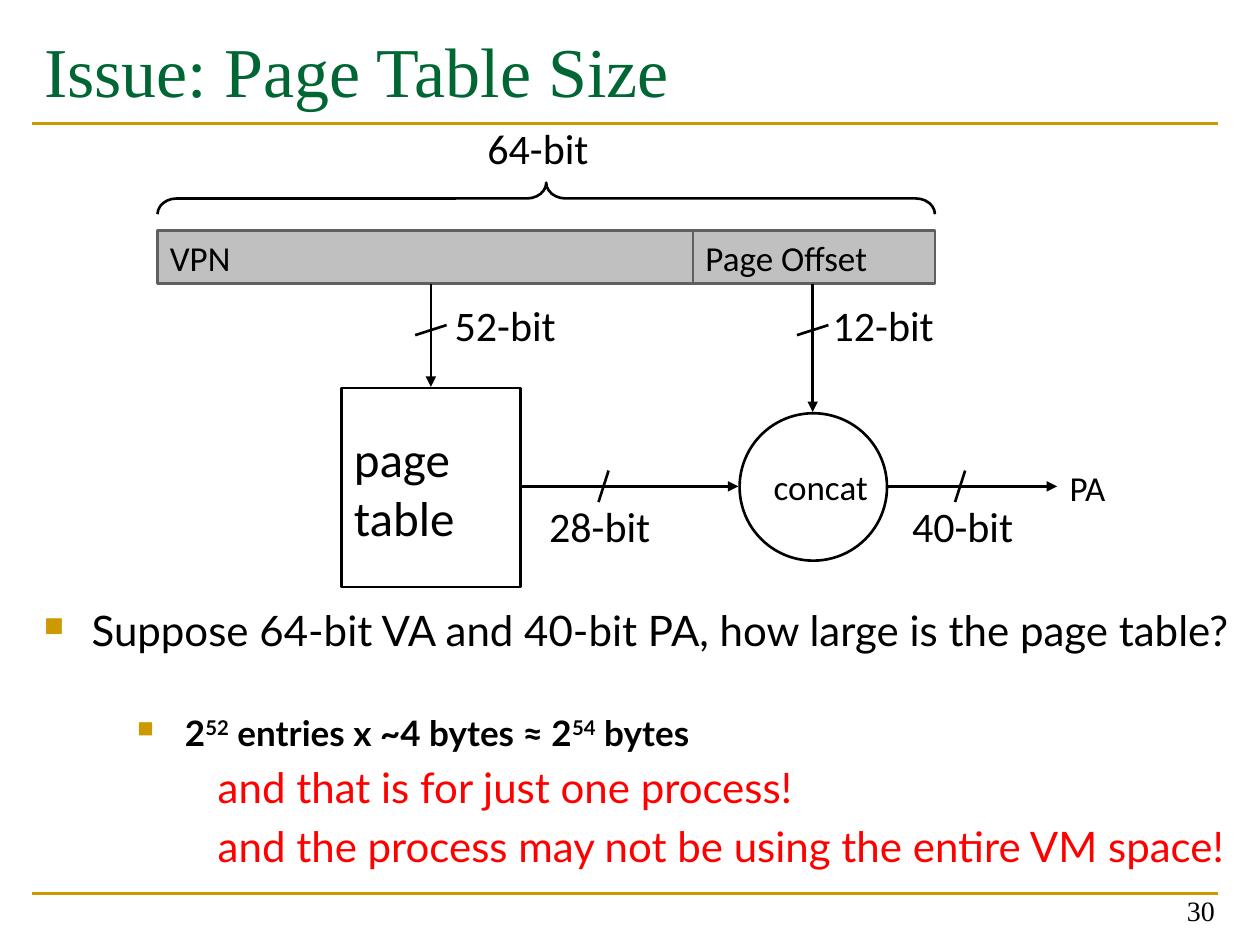
from lxml import etree
from pptx import Presentation
from pptx.dml.color import RGBColor
from pptx.enum.shapes import MSO_CONNECTOR, MSO_SHAPE
from pptx.enum.text import MSO_ANCHOR, MSO_AUTO_SIZE, PP_ALIGN
from pptx.oxml.ns import qn
from pptx.util import Inches, Pt

RECT, OVAL, BRACE = MSO_SHAPE.RECTANGLE, MSO_SHAPE.OVAL, MSO_SHAPE.LEFT_BRACE
STRAIGHT = MSO_CONNECTOR.STRAIGHT
TOP, MIDDLE, BOTTOM = MSO_ANCHOR.TOP, MSO_ANCHOR.MIDDLE, MSO_ANCHOR.BOTTOM
LEFT, RIGHT = PP_ALIGN.LEFT, PP_ALIGN.RIGHT

BLACK, WHITE, GRAY, EDGE = "000000", "FFFFFF", "C0C0C0", "5F5F5F"
GOLD, GREEN, RED = "CC9900", "006633", "FF0000"
SERIF, DIAGRAM, BODY = "Times New Roman", "Calibri", "Lato"

# Content
TITLE, PAGE_NUMBER = "Issue: Page Table Size", "30"
RULES_Y = (0.98, 7.09)
MARGIN, RULE_END = 0.25, 9.67

# text, kind, (left, top, width, height), fill, edge, size
BLOCKS = [
    ("VPN", RECT, (1.25, 1.83, 4.33, 0.42), GRAY, EDGE, 20),
    ("Page Offset", RECT, (5.5, 1.83, 1.92, 0.42), GRAY, EDGE, 20),
    ("page\ntable", RECT, (2.71, 3.08, 1.42, 1.58), WHITE, BLACK, 28),
    ("concat", OVAL, (5.87, 3.28, 1.17, 1.17), WHITE, BLACK, 20),
]
# text, left, top, width, size
LABELS = [
    ("64-bit", 3.77, 0.92, 1.01, 24),
    ("52-bit", 3.51, 2.33, 1.01, 24),
    ("12-bit", 6.51, 2.33, 1.01, 24),
    ("28-bit", 4.26, 3.92, 1.01, 24),
    ("40-bit", 7.14, 3.92, 1.01, 24),
    ("PA", 8.39, 3.65, 0.49, 20),
]
# start, end, centre of the bus-width slash
BUSES = [
    ((3.42, 2.25), (3.42, 3.07), (3.42, 2.62)),
    ((6.45, 2.25), (6.45, 3.27), (6.45, 2.62)),
    ((4.14, 3.86), (5.86, 3.86), (4.79, 3.86)),
    ((7.04, 3.86), (8.39, 3.86), (7.62, 3.86)),
]
SLASH_LONG, SLASH_SHORT = 0.25, 0.08

# (text, is superscript) runs, then paragraph format
POINTS = [
    ([("Suppose 64-bit VA and 40-bit PA, how large is the page table?", False)],
     dict(size=24, indent=0.38, bullet=True)),
    ([("2", False), ("52", True), (" entries x ~4 bytes ≈ 2", False),
      ("54", True), (" bytes", False)],
     dict(size=20, indent=1.12, bullet=True, bold=True, before=32)),
    ([("and that is for just one process!", False)],
     dict(size=24, indent=1.38, color=RED, before=5)),
    ([("and the process may not be using the entire VM space!", False)],
     dict(size=24, indent=1.38, color=RED, before=5)),
]
HANGING = 0.38


def rgb(value):
    return RGBColor.from_string(value)


def inches(*values):
    return [Inches(value) for value in values]


def write(paragraph, text, size=20, font=DIAGRAM, color=BLACK, bold=False,
          align=LEFT, superscript=False):
    paragraph.alignment = align
    run = paragraph.add_run()
    run.text = text
    run.font.size, run.font.name, run.font.bold = Pt(size), font, bold
    run.font.color.rgb = rgb(color)
    if superscript:
        run._r.get_or_add_rPr().set("baseline", "30000")


def fill_frame(shape, text, anchor=MIDDLE, wrap=False, **fmt):
    frame = shape.text_frame
    frame.word_wrap, frame.vertical_anchor = wrap, anchor
    for i, line in enumerate(text.split("\n")):
        write(frame.paragraphs[0] if i == 0 else frame.add_paragraph(), line, **fmt)
    return frame


def add_block(slide, kind, box, edge=BLACK, fill=None):
    block = slide.shapes.add_shape(kind, *inches(*box))
    block.shadow.inherit = False
    if fill:
        block.fill.solid()
        block.fill.fore_color.rgb = rgb(fill)
    else:
        block.fill.background()
    block.line.color.rgb, block.line.width = rgb(edge), Pt(1.5)
    return block


def add_line(slide, start, end, color=BLACK, arrow=False):
    line = slide.shapes.add_connector(STRAIGHT, *inches(*start, *end))
    line.line.color.rgb, line.line.width = rgb(color), Pt(1.5)
    if arrow:
        etree.SubElement(line.line._get_or_add_ln(), qn("a:tailEnd"), type="triangle")
    etree.SubElement(line._element.spPr, qn("a:effectLst"))


def format_indent(paragraph, indent, bullet):
    props = paragraph._p.get_or_add_pPr()
    props.set("marL", str(Inches(indent)))
    props.set("indent", str(-Inches(HANGING) if bullet else 0))
    if bullet:
        color = etree.SubElement(props, qn("a:buClr"))
        etree.SubElement(color, qn("a:srgbClr"), val=GOLD)
        etree.SubElement(props, qn("a:buSzPct"), val="65000")
        etree.SubElement(props, qn("a:buChar"), char="■")


def add_points(slide):
    frame = slide.shapes.add_textbox(*inches(MARGIN, 4.75, 9.67, 2.3)).text_frame
    frame.word_wrap, frame.margin_right = True, 0
    for i, (runs, fmt) in enumerate(POINTS):
        paragraph = frame.paragraphs[0] if i == 0 else frame.add_paragraph()
        paragraph.space_before = Pt(fmt.get("before", 0))
        format_indent(paragraph, fmt["indent"], fmt.get("bullet", False))
        for text, superscript in runs:
            write(paragraph, text, size=fmt["size"], font=BODY,
                  color=fmt.get("color", BLACK), bold=fmt.get("bold", False),
                  superscript=superscript)


def main():
    deck = Presentation()
    deck.slide_width, deck.slide_height = inches(10, 7.5)
    slide = deck.slides.add_slide(deck.slide_layouts[5])

    # Title, rules and page number
    title = slide.shapes.title
    title.left, title.top, title.width, title.height = inches(MARGIN, 0.17, 9.42, 1.17)
    fill_frame(title, TITLE, TOP, True, size=40, font=SERIF, color=GREEN)
    for y in RULES_Y:
        add_line(slide, (MARGIN, y), (RULE_END, y), GOLD)
    number = slide.shapes.add_textbox(*inches(7.41, 6.91, 2.33, 0.5))
    fill_frame(number, PAGE_NUMBER, BOTTOM, True, size=16, font=SERIF, align=RIGHT)

    add_points(slide)

    # Address fields, page table and concatenation
    for text, kind, box, fill, edge, size in BLOCKS:
        fill_frame(add_block(slide, kind, box, edge, fill), text, size=size)

    # Brace over the whole address
    brace = add_block(slide, BRACE, (4.21, -1.51, 0.25, 6.17))
    brace.rotation = 90
    brace.adjustments[0], brace.adjustments[1] = 0.61, 0.5

    # Buses, each with a slash across it
    for start, end, (x, y) in BUSES:
        add_line(slide, start, end, arrow=True)
        vertical = start[0] == end[0]
        w, h = (SLASH_LONG, SLASH_SHORT) if vertical else (SLASH_SHORT, SLASH_LONG)
        add_line(slide, (x - w / 2, y + h / 2), (x + w / 2, y - h / 2))

    # Bus widths and output
    for text, left, top, width, size in LABELS:
        label = slide.shapes.add_textbox(*inches(left, top, width, size / 72 * 1.22 + 0.1))
        frame = fill_frame(label, text, TOP, size=size)
        frame.auto_size = MSO_AUTO_SIZE.SHAPE_TO_FIT_TEXT

    deck.save("out.pptx")


if __name__ == "__main__":
    main()
